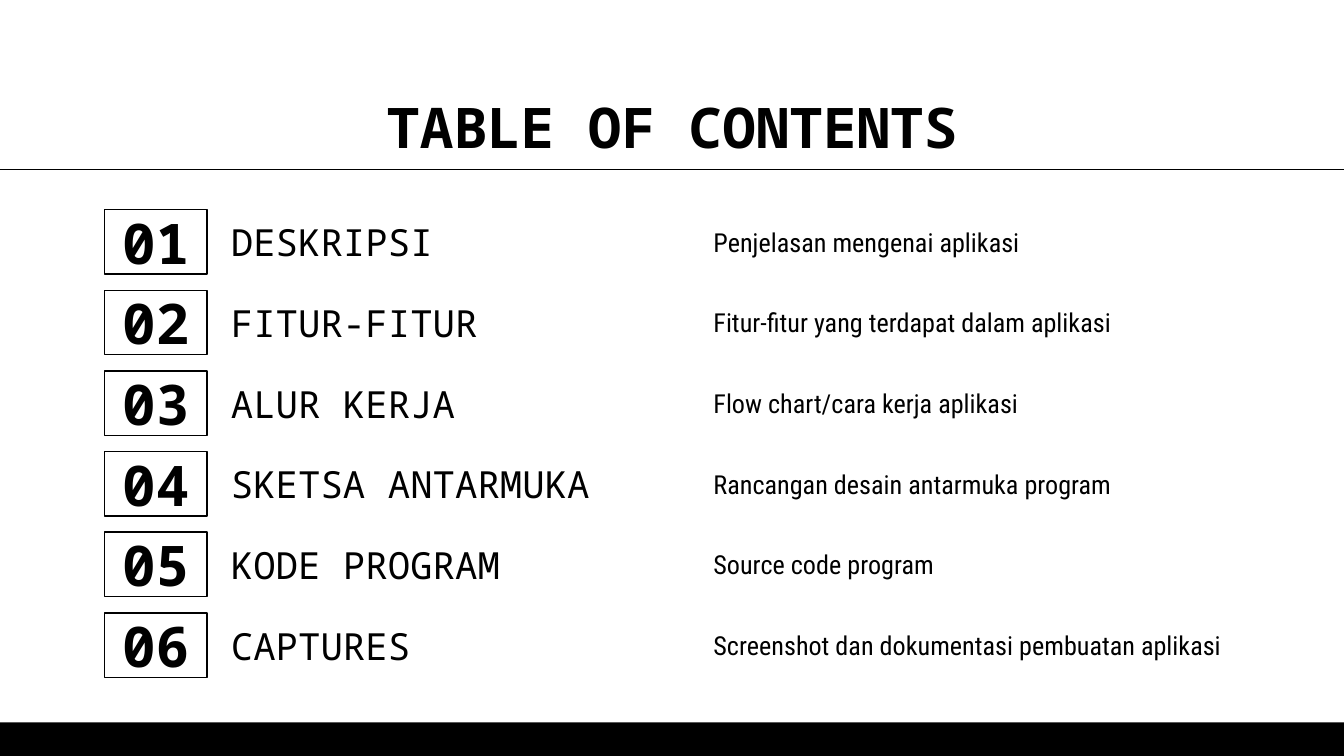
from typing import NamedTuple

from lxml import etree
from pptx import Presentation
from pptx.dml.color import RGBColor
from pptx.enum.shapes import MSO_CONNECTOR, MSO_SHAPE
from pptx.enum.text import MSO_ANCHOR, PP_ALIGN
from pptx.oxml.ns import qn
from pptx.util import Inches, Pt

BLACK = RGBColor(0x00, 0x00, 0x00)
WHITE = RGBColor(0xFF, 0xFF, 0xFF)
RECTANGLE = MSO_SHAPE.RECTANGLE
STRAIGHT = MSO_CONNECTOR.STRAIGHT
TOP, MIDDLE = MSO_ANCHOR.TOP, MSO_ANCHOR.MIDDLE
LEFT, CENTER = PP_ALIGN.LEFT, PP_ALIGN.CENTER

MONO = "Noto Sans Mono"
CONDENSED = "Roboto Condensed"

SLIDE_WIDTH = 10
SLIDE_HEIGHT = SLIDE_WIDTH * 9 / 16
FOOTER_HEIGHT = 0.25
MARGIN = 0.78
FIRST_ROW_TOP, ROW_PITCH, ROW_HEIGHT = 1.56, 0.6, 0.48
RULE_TOP, RULE_OVERHANG = 1.26, 0.02


class Style(NamedTuple):
    font: str
    size: int
    bold: bool = False
    align: PP_ALIGN = LEFT
    anchor: MSO_ANCHOR = MIDDLE


class Column(NamedTuple):
    left: float
    width: float
    style: Style


class Entry(NamedTuple):
    topic: str
    description: str


TITLE = Column(MARGIN, SLIDE_WIDTH - 2 * MARGIN, Style(MONO, 30, True, CENTER, TOP))
NUMBERS = Column(MARGIN, 0.76, Style(MONO, 30, True, CENTER))
TOPICS = Column(1.62, 3.5, Style(MONO, 20))
DESCRIPTIONS = Column(5.21, 4.01, Style(CONDENSED, 14))

ENTRIES = [
    Entry("DESKRIPSI", "Penjelasan mengenai aplikasi"),
    Entry("FITUR-FITUR", "Fitur-fitur yang terdapat dalam aplikasi"),
    Entry("ALUR KERJA", "Flow chart/cara kerja aplikasi"),
    Entry("SKETSA ANTARMUKA", "Rancangan desain antarmuka program"),
    Entry("KODE PROGRAM", "Source code program"),
    Entry("CAPTURES", "Screenshot dan dokumentasi pembuatan aplikasi"),
]


def write_text(shape, text: str, style: Style) -> None:
    frame = shape.text_frame
    frame.word_wrap = True
    frame.vertical_anchor = style.anchor
    frame.margin_left = frame.margin_right = Inches(0.1)
    frame.margin_top = frame.margin_bottom = Inches(0.1)
    paragraph = frame.paragraphs[0]
    paragraph.text = text
    paragraph.alignment = style.align
    paragraph.font.name = style.font
    paragraph.font.size = Pt(style.size)
    paragraph.font.bold = style.bold
    paragraph.font.color.rgb = BLACK


def add_text(slide, column: Column, top: float, height: float, text: str) -> None:
    box = slide.shapes.add_textbox(
        Inches(column.left), Inches(top), Inches(column.width), Inches(height))
    write_text(box, text, column.style)


def add_number(slide, top: float, number: int) -> None:
    frame = slide.shapes.add_shape(
        RECTANGLE, Inches(NUMBERS.left), Inches(top),
        Inches(NUMBERS.width), Inches(ROW_HEIGHT))
    frame.shadow.inherit = False
    frame.fill.background()
    frame.line.color.rgb = BLACK
    frame.line.width = Pt(0.75)
    write_text(frame, f"{number:02d}", NUMBERS.style)


def add_footer(slide) -> None:
    footer = slide.shapes.add_shape(
        RECTANGLE, 0, Inches(SLIDE_HEIGHT - FOOTER_HEIGHT),
        Inches(SLIDE_WIDTH), Inches(FOOTER_HEIGHT))
    footer.shadow.inherit = False
    footer.fill.solid()
    footer.fill.fore_color.rgb = BLACK
    footer.line.fill.background()


def add_rule(slide) -> None:
    rule = slide.shapes.add_connector(
        STRAIGHT, Inches(-RULE_OVERHANG), Inches(RULE_TOP),
        Inches(SLIDE_WIDTH + RULE_OVERHANG), Inches(RULE_TOP))
    rule.line.color.rgb = BLACK
    rule.line.width = Pt(0.75)
    etree.SubElement(rule._element.spPr, qn("a:effectLst"))


def main() -> None:
    presentation = Presentation()
    presentation.slide_width = Inches(SLIDE_WIDTH)
    presentation.slide_height = Inches(SLIDE_HEIGHT)
    slide = presentation.slides.add_slide(presentation.slide_layouts[6])
    slide.background.fill.solid()
    slide.background.fill.fore_color.rgb = WHITE

    add_footer(slide)

    # Contents rows
    for index, entry in enumerate(ENTRIES):
        top = FIRST_ROW_TOP + index * ROW_PITCH
        add_number(slide, top, index + 1)
        add_text(slide, TOPICS, top, ROW_HEIGHT, entry.topic)
        add_text(slide, DESCRIPTIONS, top, ROW_HEIGHT, entry.description)

    # Title and the rule below it
    add_text(slide, TITLE, 0.59, 0.67, "TABLE OF CONTENTS")
    add_rule(slide)

    presentation.save("out.pptx")


if __name__ == "__main__":
    main()
